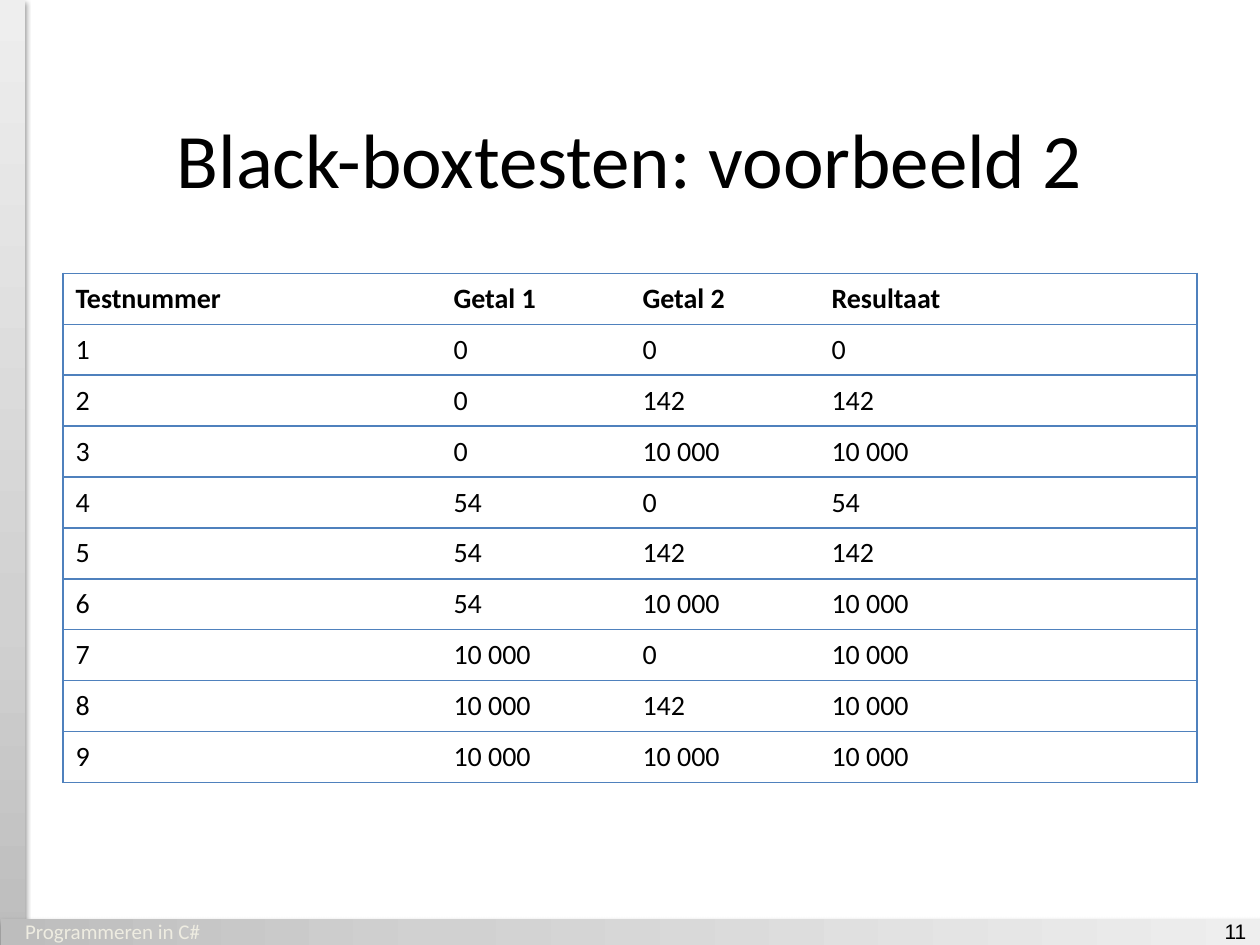
"""Build the slide with the second black-box testing example as a table."""
from dataclasses import dataclass

from lxml import etree
from pptx import Presentation
from pptx.dml.color import RGBColor
from pptx.enum.shapes import MSO_SHAPE
from pptx.enum.text import MSO_ANCHOR, PP_ALIGN
from pptx.oxml import parse_xml
from pptx.oxml.ns import nsdecls, qn
from pptx.slide import Slide
from pptx.table import _Cell
from pptx.text.text import TextFrame
from pptx.util import Inches, Pt

COLORS = {
    "text": "000000",
    "footer": "EEECE1",
    "border": "4F81BD",
    "cell": "FFFFFF",
    "dark": "BDBDBD",
    "middle": "D1D1D1",
    "light": "EEEEEE",
}
GRADIENT = {0: "dark", 35: "middle", 100: "light"}
COLUMN_WIDTHS = (3, 1.5, 1.5, 3)
HEADINGS = ("Testnummer", "Getal 1", "Getal 2", "Resultaat")
INPUTS = (0, 54, 10000), (0, 142, 10000)


@dataclass(frozen=True)
class Box:
    left: float
    top: float
    width: float
    height: float

    def emu(self) -> tuple:
        return tuple(Inches(v) for v in (self.left, self.top, self.width, self.height))


@dataclass(frozen=True)
class Bar:
    box: Box
    rotation: int


@dataclass(frozen=True)
class Caption:
    text: str
    box: Box
    font: str
    color: str
    align: PP_ALIGN


BARS = (
    Bar(Box(0, 0, 0.2, 7.5), 0),
    Bar(Box(4.9, 2.4, 0.21, 10), 90),
)
CAPTIONS = (
    Caption("11", Box(7.66, 7.19, 2.33, 0.4), "Arial", "text", PP_ALIGN.RIGHT),
    Caption("Programmeren in C#", Box(-0.69, 7.19, 3.17, 0.4), "Calibri", "footer", PP_ALIGN.CENTER),
)


def style_text(frame: TextFrame, size: int, color: str, font: str = "Calibri",
               align: PP_ALIGN = PP_ALIGN.LEFT, bold: bool = False) -> None:
    paragraph = frame.paragraphs[0]
    paragraph.alignment = align
    for run in paragraph.runs:
        run.font.name = font
        run.font.size = Pt(size)
        run.font.bold = bold
        run.font.color.rgb = RGBColor.from_string(COLORS[color])


def add_bar(slide: Slide, bar: Bar) -> None:
    shape = slide.shapes.add_shape(MSO_SHAPE.RECTANGLE, *bar.box.emu())
    shape.rotation = bar.rotation
    shape.line.fill.background()
    stops = "".join(
        f'<a:gs pos="{pos * 1000}"><a:srgbClr val="{COLORS[name]}"/></a:gs>'
        for pos, name in GRADIENT.items()
    )
    properties = shape._element.spPr
    properties.find(qn("a:ln")).addprevious(parse_xml(
        f'<a:gradFill {nsdecls("a")} rotWithShape="1"><a:gsLst>{stops}</a:gsLst>'
        '<a:lin ang="16200000" scaled="0"/></a:gradFill>'
    ))
    properties.append(parse_xml(
        f'<a:effectLst {nsdecls("a")}><a:outerShdw blurRad="{Pt(3.1)}" dist="{Pt(1.6)}" '
        f'dir="5400000" rotWithShape="0"><a:srgbClr val="{COLORS["text"]}">'
        '<a:alpha val="38000"/></a:srgbClr></a:outerShdw></a:effectLst>'
    ))


def add_caption(slide: Slide, caption: Caption) -> None:
    frame = slide.shapes.add_textbox(*caption.box.emu()).text_frame
    frame.word_wrap = True
    frame.vertical_anchor = MSO_ANCHOR.MIDDLE
    frame.text = caption.text
    style_text(frame, 12, caption.color, caption.font, caption.align)


def set_borders(cell: _Cell, sides: str) -> None:
    properties = cell._tc.get_or_add_tcPr()
    for side in "LRTB":
        line = etree.SubElement(properties, qn(f"a:ln{side}"), w=str(Pt(1)))
        if side in sides:
            fill = etree.SubElement(line, qn("a:solidFill"))
            etree.SubElement(fill, qn("a:srgbClr"), val=COLORS["border"])
        else:
            etree.SubElement(line, qn("a:noFill"))


def test_rows() -> list:
    pairs = [(first, second) for first in INPUTS[0] for second in INPUTS[1]]
    cases = [(number, *pair, max(pair)) for number, pair in enumerate(pairs, 1)]
    return [HEADINGS] + [[f"{value:,}".replace(",", " ") for value in case] for case in cases]


def add_test_table(slide: Slide, box: Box) -> None:
    rows = test_rows()
    table = slide.shapes.add_table(len(rows), len(HEADINGS), *box.emu()).table
    table.horz_banding = False
    for column, width in zip(table.columns, COLUMN_WIDTHS):
        column.width = Inches(width)
    edges = {0: "LTB", len(HEADINGS) - 1: "RTB"}
    for r, values in enumerate(rows):
        for c, value in enumerate(values):
            cell = table.cell(r, c)
            cell.text = value
            cell.vertical_anchor = MSO_ANCHOR.MIDDLE
            set_borders(cell, edges.get(c, "TB"))
            cell.fill.solid()
            cell.fill.fore_color.rgb = RGBColor.from_string(COLORS["cell"])
            style_text(cell.text_frame, 16, "text", bold=r == 0)


def main() -> None:
    presentation = Presentation()
    presentation.slide_width, presentation.slide_height = Inches(10), Inches(7.5)
    slide = presentation.slides.add_slide(presentation.slide_layouts[5])
    for bar in BARS:
        add_bar(slide, bar)
    title = slide.shapes.title
    title.left, title.top, title.width, title.height = Box(0.5, 0.5, 9, 1.5).emu()
    title.text_frame.text = "Black-boxtesten: voorbeeld 2"
    title.text_frame.vertical_anchor = MSO_ANCHOR.MIDDLE
    style_text(title.text_frame, 44, "text", align=PP_ALIGN.CENTER)
    add_test_table(slide, Box(0.5, 2.17, 9, 4.04))
    for caption in CAPTIONS:
        add_caption(slide, caption)
    presentation.save("out.pptx")


if __name__ == "__main__":
    main()
